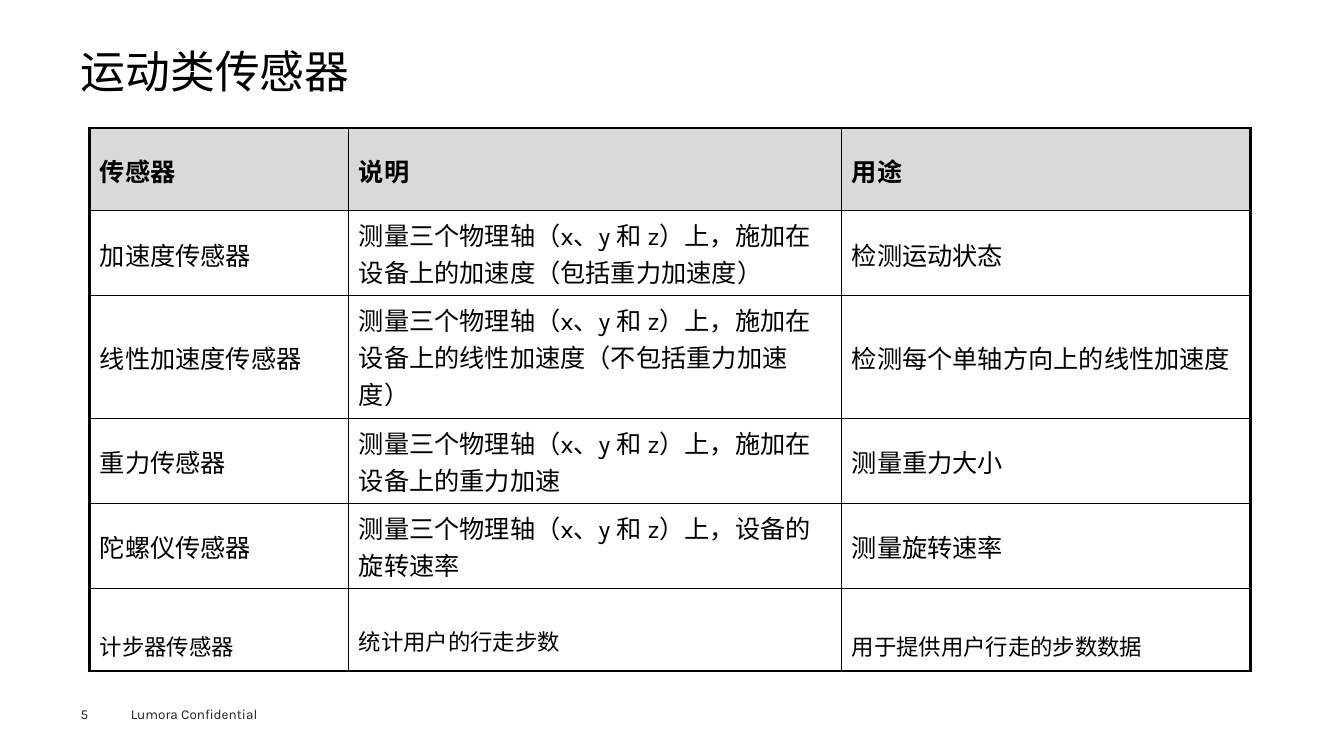
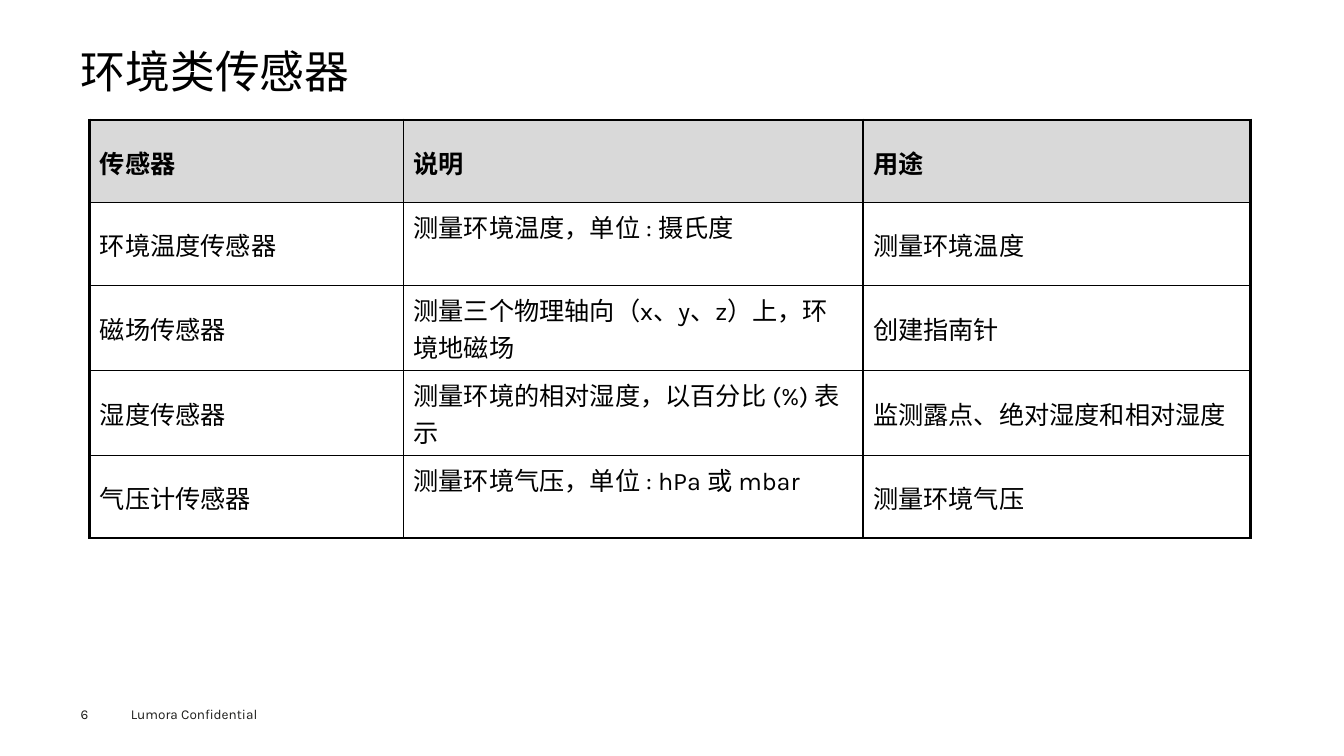
from lxml.etree import SubElement
from pptx import Presentation
from pptx.dml.color import RGBColor
from pptx.enum.lang import MSO_LANGUAGE_ID
from pptx.enum.text import MSO_ANCHOR, PP_ALIGN
from pptx.oxml.ns import qn
from pptx.util import Inches, Pt

BLACK = RGBColor(0x00, 0x00, 0x00)
FOOTER_GREY = RGBColor(0x1D, 0x1D, 0x1B)
HEADER_GREY = RGBColor(0xD9, 0xD9, 0xD9)
FONT = "Karla"
INNER_LINE, OUTER_LINE = Pt(1), Pt(2.25)
ROW_HEIGHT = 0.82
CELL_SPACING, LOOSE_SPACING = 1.24, 2.42

HEADER = ("传感器", "说明", "用途")
FIRST_PAGE = 5
SENSOR_GROUPS = [
    {
        "title": "运动类传感器",
        "top": 1.27,
        "columns": (2.57, 4.89, 4.05),
        "sensors": [
            ("加速度传感器", "测量三个物理轴（x、y 和 z）上，施加在设备上的加速度（包括重力加速度）", "检测运动状态"),
            ("线性加速度传感器", "测量三个物理轴（x、y 和 z）上，施加在设备上的线性加速度（不包括重力加速度）",
             "检测每个单轴方向上的线性加速度"),
            ("重力传感器", "测量三个物理轴（x、y 和 z）上，施加在设备上的重力加速", "测量重力大小"),
            ("陀螺仪传感器", "测量三个物理轴（x、y 和 z）上，设备的旋转速率", "测量旋转速率"),
            ("计步器传感器", "统计用户的行走步数", "用于提供用户行走的步数数据"),
        ],
        "loose_row": 5,
    },
    {
        "title": "环境类传感器",
        "top": 1.19,
        "columns": (3.11, 4.56, 3.84),
        "sensors": [
            ("环境温度传感器", "测量环境温度，单位 : 摄氏度", "测量环境温度"),
            ("磁场传感器", "测量三个物理轴向（x、y、z）上，环境地磁场", "创建指南针"),
            ("湿度传感器", "测量环境的相对湿度，以百分比 (%) 表示", "监测露点、绝对湿度和相对湿度"),
            ("气压计传感器", "测量环境气压，单位 : hPa 或 mbar", "测量环境气压"),
        ],
        "loose_row": None,
    },
]


def write_text(frame, text, size, color=BLACK, bold=False, spacing=1.0):
    paragraph = frame.paragraphs[0]
    paragraph.alignment = PP_ALIGN.LEFT
    paragraph.line_spacing = spacing
    run = paragraph.add_run()
    run.text = text
    font_format = {"name": FONT, "size": Pt(size), "bold": bold,
                   "language_id": MSO_LANGUAGE_ID.SIMPLIFIED_CHINESE}
    for attribute, value in font_format.items():
        setattr(run.font, attribute, value)
    run.font.color.rgb = color
    SubElement(run.font._element, qn("a:ea"), typeface=FONT)


def draw_borders(cell, widths):
    properties = cell._tc.get_or_add_tcPr()
    for side, width in widths.items():
        line = SubElement(properties, qn(f"a:ln{side}"), w=str(int(width)))
        fill = SubElement(line, qn("a:solidFill"))
        SubElement(fill, qn("a:srgbClr"), val=str(BLACK))


presentation = Presentation()
presentation.slide_width = Inches(13.33)
presentation.slide_height = Inches(7.5)
title_only = presentation.slide_layouts[5]
no_margins = {f"margin_{side}": 0 for side in ("left", "right", "top", "bottom")}

for page, group in enumerate(SENSOR_GROUPS, FIRST_PAGE):
    slide = presentation.slides.add_slide(title_only)

    # Footer
    confidentiality = slide.shapes.add_textbox(Inches(1.2), Inches(6.95), Inches(1.6), Inches(0.27))
    write_text(confidentiality.text_frame, "Lumora Confidential", 9.7, FOOTER_GREY)
    page_number = slide.shapes.add_textbox(Inches(0.8), Inches(7), Inches(0.55), Inches(0.16))
    write_text(page_number.text_frame, str(page), 9.7, FOOTER_GREY)

    # Title
    title = slide.shapes.title
    title.left, title.top = Inches(0.8), Inches(0.49)
    title.width, title.height = Inches(11.73), Inches(0.54)
    title.text_frame.vertical_anchor = MSO_ANCHOR.TOP
    write_text(title.text_frame, group["title"], 32, spacing=0.9)

    for frame in (page_number.text_frame, title.text_frame):
        for attribute, value in no_margins.items():
            setattr(frame, attribute, value)

    # Sensor table
    rows = [HEADER, *group["sensors"]]
    last_row, last_column = len(rows) - 1, len(HEADER) - 1
    sensor_table = slide.shapes.add_table(
        len(rows), len(HEADER), Inches(0.89), Inches(group["top"]),
        Inches(sum(group["columns"])), Inches(ROW_HEIGHT * len(rows))).table
    sensor_table.first_row = sensor_table.horz_banding = False
    for column, width in zip(sensor_table.columns, group["columns"]):
        column.width = Inches(width)

    for r, texts in enumerate(rows):
        sensor_table.rows[r].height = Inches(ROW_HEIGHT)
        is_header, is_loose = r == 0, r == group["loose_row"]
        for c, text in enumerate(texts):
            cell = sensor_table.cell(r, c)
            on_edge = {"L": c == 0, "R": c == last_column, "T": r == 0, "B": r == last_row}
            draw_borders(cell, {side: OUTER_LINE if edge else INNER_LINE
                                for side, edge in on_edge.items()})
            if is_header:
                cell.fill.solid()
                cell.fill.fore_color.rgb = HEADER_GREY
            else:
                cell.fill.background()
            is_description = c == 1 and not is_header
            cell.vertical_anchor = MSO_ANCHOR.TOP if is_description else MSO_ANCHOR.MIDDLE
            write_text(cell.text_frame, text, 16 if is_loose else 18, bold=is_header,
                       spacing=LOOSE_SPACING if is_loose else CELL_SPACING)

presentation.save("out.pptx")
